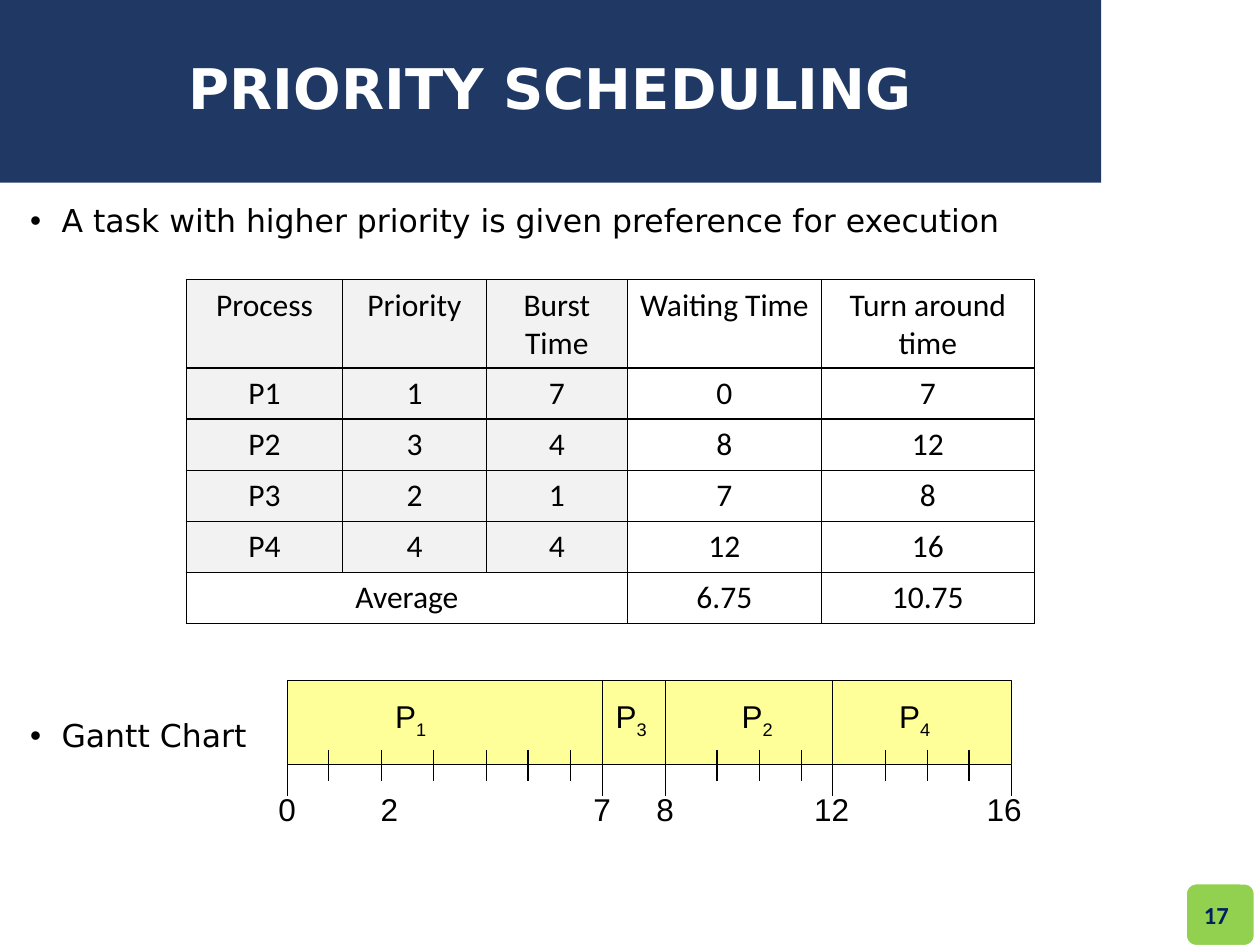
from pptx import Presentation
from pptx.dml.color import RGBColor
from pptx.enum.shapes import MSO_CONNECTOR as CONN, MSO_SHAPE as SHAPE
from pptx.enum.text import MSO_ANCHOR as ANCHOR, PP_ALIGN as ALIGN
from pptx.oxml.ns import qn
from pptx.util import Inches, Pt
from lxml import etree

BLACK, WHITE = "000000", "FFFFFF"

HEADER = ["Process", "Priority", "Burst Time", "Waiting Time", "Turn around time"]
PROCESSES = [
    ["P1", "1", "7", "0", "7"],
    ["P2", "3", "4", "8", "12"],
    ["P3", "2", "1", "7", "8"],
    ["P4", "4", "4", "12", "16"],
]
AVERAGE = ["Average", "", "", "6.75", "10.75"]
COL_WIDTHS = [1.24, 1.14, 1.12, 1.54, 1.69]

# Gantt chart offsets, in inches from the left end of the bar
BOUNDARIES = [0, 2.5, 3, 4.33, 5.75]
TICKS = [0.33, 0.75, 1.16, 1.58, 1.91, 2.25, 3.41, 3.75, 4.08, 4.75, 5.08, 5.41]
BAR_LABELS = [("1", 0.98), ("3", 2.73), ("2", 3.73), ("4", 4.98)]
TIME_LABELS = [("0", 0), ("2", 0.81), ("7", 2.5), ("8", 3), ("12", 4.32), ("16", 5.69)]


def rgb(value):
    return RGBColor.from_string(value)


def add_run(p, text, size, name, color=BLACK, **extra):
    r = p.add_run()
    r.text = text
    for key, value in dict(size=Pt(size), name=name, **extra).items():
        setattr(r.font, key, value)
    r.font.color.rgb = rgb(color)
    return r


def add_box(s, shape, x, y, w, h, fill, line=None, weight=0.75):
    sp = s.shapes.add_shape(shape, Inches(x), Inches(y), Inches(w), Inches(h))
    sp.shadow.inherit = False
    sp.fill.solid()
    sp.fill.fore_color.rgb = rgb(fill)
    if line:
        sp.line.color.rgb = rgb(line)
        sp.line.width = Pt(weight)
    else:
        sp.line.fill.background()
    return sp


def add_text(s, x, y, w, h, wrap=True, anchor=ANCHOR.MIDDLE):
    tf = s.shapes.add_textbox(Inches(x), Inches(y), Inches(w), Inches(h)).text_frame
    tf.word_wrap, tf.vertical_anchor = wrap, anchor
    return tf


def add_line(s, x, top, bottom):
    ln = s.shapes.add_connector(CONN.STRAIGHT, Inches(x), Inches(top), Inches(x), Inches(bottom))
    ln.line.color.rgb = rgb(BLACK)
    ln.line.width = Pt(0.75)
    etree.SubElement(ln._element.spPr, qn("a:effectLst"))


def add_title(s, x, y, w, h):
    tf = add_box(s, SHAPE.RECTANGLE, x, y, w, h, "203864").text_frame
    tf.word_wrap, tf.vertical_anchor = True, ANCHOR.MIDDLE
    p = tf.paragraphs[0]
    p.alignment, p.line_spacing = ALIGN.CENTER, 0.9
    add_run(p, "PRIORITY SCHEDULING", 32, "DejaVu Sans", WHITE, bold=True)


def add_bullets(s, x, y, w, h):
    tf = add_text(s, x, y, w, h, anchor=ANCHOR.TOP)
    items = [("A task with higher priority is given preference for execution", 0),
             ("Gantt Chart", 275)]
    for i, (text, space) in enumerate(items):
        p = tf.add_paragraph() if i else tf.paragraphs[0]
        pPr = p._p.get_or_add_pPr()
        pPr.set("marL", str(Inches(0.25)))
        pPr.set("indent", str(-Inches(0.25)))
        etree.SubElement(pPr, qn("a:buFont")).set("typeface", "Arial")
        etree.SubElement(pPr, qn("a:buChar")).set("char", "•")
        p.line_spacing, p.space_before = 0.9, Pt(space)
        add_run(p, text, 18, "DejaVu Sans")


def set_borders(cell):
    tcPr = cell._tc.get_or_add_tcPr()
    for i, side in enumerate(("lnL", "lnR", "lnT", "lnB")):
        ln = etree.Element(qn(f"a:{side}"), w=str(Pt(1)))
        fill = etree.SubElement(ln, qn("a:solidFill"))
        etree.SubElement(fill, qn("a:srgbClr")).set("val", BLACK)
        tcPr.insert(i, ln)


def add_schedule(s, x, y, w, h):
    rows = [HEADER, *PROCESSES, AVERAGE]
    frame = s.shapes.add_table(len(rows), len(HEADER), Inches(x), Inches(y), Inches(w), Inches(h))
    table = frame.table
    table.first_row = table.horz_banding = False
    for col, width in zip(table.columns, COL_WIDTHS):
        col.width = Inches(width)
    header_h = 0.7
    for i, row in enumerate(table.rows):
        row.height = Inches((h - header_h) / (len(rows) - 1) if i else header_h)
    last = len(rows) - 1
    table.cell(last, 0).merge(table.cell(last, 2))
    for i, values in enumerate(rows):
        for j, text in enumerate(values):
            cell = table.cell(i, j)
            if j < 3 and i < last:
                cell.fill.solid()
                cell.fill.fore_color.rgb = rgb("F2F2F2")
            else:
                cell.fill.background()
            set_borders(cell)
            if text:
                p = cell.text_frame.paragraphs[0]
                p.alignment = ALIGN.CENTER
                add_run(p, text, 18, "Calibri")


def add_label(s, center, y, w, text, sub=""):
    p = add_text(s, center - w / 2, y, w, 0.4, wrap=False).paragraphs[0]
    p.alignment, p.line_spacing = ALIGN.CENTER, 0.93
    add_run(p, text, 18, "Arial")
    if sub:
        r = add_run(p, sub, 18, "Arial")
        r.font._element.set("baseline", "-25000")


def add_gantt(s, x, y, w, h):
    add_box(s, SHAPE.RECTANGLE, x, y, w, h, "FFFF99", BLACK)
    axis = y + h
    for offset in BOUNDARIES:
        if 0 < offset < w:
            add_line(s, x + offset, y, axis)
        add_line(s, x + offset, axis, axis + 0.25)
    for offset in TICKS:
        add_line(s, x + offset, axis - 0.12, axis + 0.13)
    for number, offset in BAR_LABELS:
        add_label(s, x + offset, y + 0.09, 0.46, "P", number)
    for time, offset in TIME_LABELS:
        add_label(s, x + offset, axis + 0.17, 0.2 + 0.14 * len(time), time)


def add_page_number(s, x, y, w, h):
    add_box(s, SHAPE.ROUNDED_RECTANGLE, x, y, w, h, "92D050", WHITE, 1.5)
    p = add_text(s, x - 1.81, y + 0.05, 2.25, 0.4).paragraphs[0]
    p.alignment = ALIGN.RIGHT
    add_run(p, "17", 14, "Calibri", "002060", bold=True)


def main():
    prs = Presentation()
    prs.slide_width, prs.slide_height = Inches(10), Inches(7.5)
    s = prs.slides.add_slide(prs.slide_layouts[6])
    add_title(s, 0, 0, 8.74, 1.45)
    add_bullets(s, 0.14, 1.58, 9.71, 5.37)
    add_schedule(s, 1.48, 2.22, sum(COL_WIDTHS), 2.73)
    add_gantt(s, 2.28, 5.4, 5.75, 0.67)
    add_page_number(s, 9.41, 7.01, 0.55, 0.5)
    prs.save("out.pptx")


if __name__ == "__main__":
    main()
